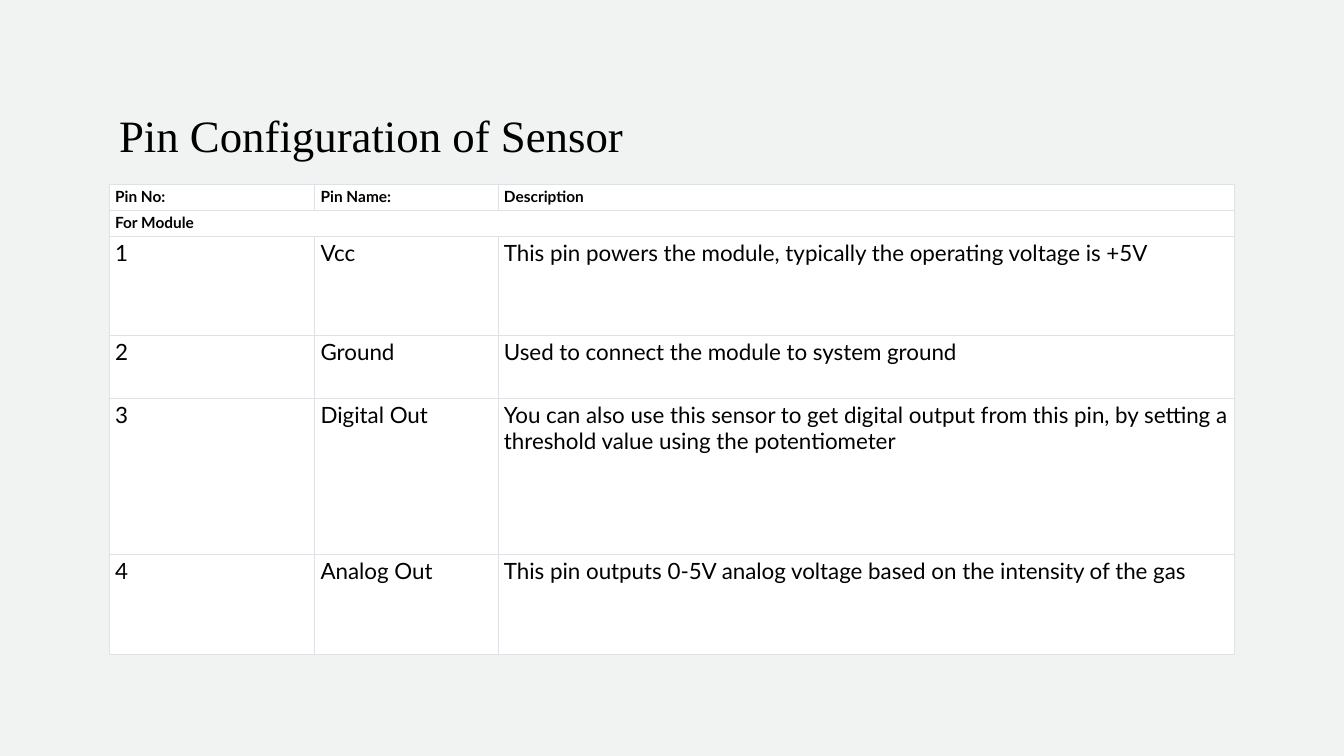
import pptx
import pptx.dml.color
import pptx.enum.text
import pptx.oxml
import pptx.oxml.ns
import pptx.util
from pptx.util import Cm

LEFT = Cm(2.75)
WIDTH = Cm(28.37)
COLUMN_WIDTHS = [5.18, 4.62, 18.57]
ROW_HEIGHTS = [0.65, 0.65, 2.51, 1.57, 3.94, 2.52]
HEADING_ROWS = 2
PIN_ROWS = [
    ["Pin No:", "Pin Name:", "Description"],
    ["For Module"],
    ["1", "Vcc", "This pin powers the module, typically the operating voltage is +5V"],
    ["2", "Ground", "Used to connect the module to system ground"],
    ["3", "Digital Out", "You can also use this sensor to get digital output from this pin, "
     "by setting a threshold value using the potentiometer"],
    ["4", "Analog Out", "This pin outputs 0-5V analog voltage based on the intensity of the gas"],
]


def colour(value):
    return pptx.dml.color.RGBColor.from_string(value)


def fill_solid(fill, value):
    fill.solid()
    fill.fore_color.rgb = colour(value)


def write(frame, text, size, font, bold=False):
    frame.word_wrap = True
    frame.text = text
    for para in frame.paragraphs:
        for span in para.runs:
            span.font.size = pptx.util.Pt(size)
            span.font.name = font
            span.font.bold = bold
            span.font.color.rgb = colour("000000")


def add_title(page, text):
    box = page.shapes.add_textbox(LEFT, Cm(1.09), WIDTH, Cm(3.1))
    box.text_frame.vertical_anchor = pptx.enum.text.MSO_ANCHOR.BOTTOM
    write(box.text_frame, text, 32, "Times New Roman")


def draw_borders(cell, value, points):
    properties = cell._tc.get_or_add_tcPr()
    for side in ("lnL", "lnR", "lnT", "lnB"):
        properties.append(pptx.oxml.parse_xml(
            f'<a:{side} {pptx.oxml.ns.nsdecls("a")} w="{pptx.util.Pt(points)}">'
            f'<a:solidFill><a:srgbClr val="{value}"/></a:solidFill></a:{side}>'
        ))


def style_cell(cell):
    cell.margin_left = cell.margin_right = Cm(0.15)
    cell.margin_top = cell.margin_bottom = Cm(0.08)
    draw_borders(cell, "DEE2E6", 0.75)
    fill_solid(cell.fill, "FFFFFF")


def add_pin_table(page):
    table = page.shapes.add_table(
        len(PIN_ROWS), len(COLUMN_WIDTHS), LEFT, Cm(4.65), WIDTH, Cm(sum(ROW_HEIGHTS))
    ).table
    for column, width in zip(table.columns, COLUMN_WIDTHS):
        column.width = Cm(width)
    for row, height in zip(table.rows, ROW_HEIGHTS):
        row.height = Cm(height)
        for cell in row.cells:
            style_cell(cell)
    table.cell(1, 0).merge(table.cell(1, len(COLUMN_WIDTHS) - 1))
    for row_index, texts in enumerate(PIN_ROWS):
        heading = row_index < HEADING_ROWS
        for column_index, text in enumerate(texts):
            cell = table.cell(row_index, column_index)
            write(cell.text_frame, text, 11 if heading else 16, "Lato", heading)


def main():
    deck = pptx.Presentation()
    deck.slide_width = Cm(33.87)
    deck.slide_height = Cm(19.05)
    page = deck.slides.add_slide(deck.slide_layouts[6])
    fill_solid(page.background.fill, "F0F3F1")
    add_title(page, "Pin Configuration of Sensor")
    add_pin_table(page)
    deck.save("out.pptx")


if __name__ == "__main__":
    main()
